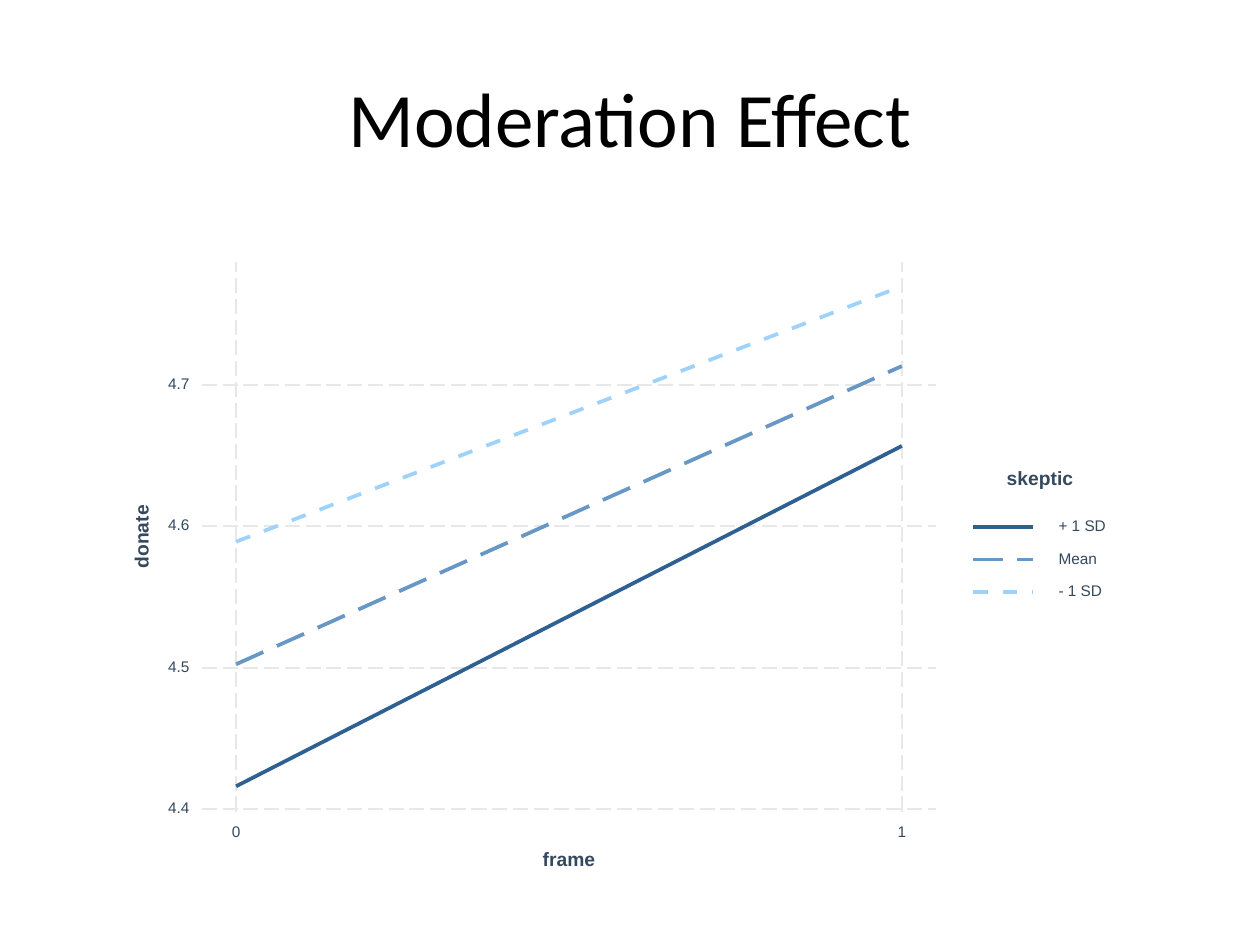
from lxml import etree
from pptx import Presentation
from pptx.dml.color import RGBColor
from pptx.enum.dml import MSO_LINE as Dash
from pptx.enum.shapes import MSO_CONNECTOR as Connector
from pptx.enum.text import MSO_ANCHOR as Anchor, PP_ALIGN as Align
from pptx.oxml.ns import qn
from pptx.util import Cm, Pt

BLACK = RGBColor(0x00, 0x00, 0x00)
SLATE = RGBColor(0x34, 0x49, 0x5E)
GRID_GRAY = RGBColor(0xE8, 0xE8, 0xE8)
DARK_BLUE = RGBColor(0x2F, 0x60, 0x92)
MID_BLUE = RGBColor(0x67, 0x97, 0xC5)
LIGHT_BLUE = RGBColor(0x9E, 0xD2, 0xFA)

# name, depth in cm below the plot top at frame 0 and at frame 1, colour,
# dash and gap in line widths
SERIES = [
    ("+ 1 SD", 10.57, 3.71, DARK_BLUE, None),
    ("Mean", 8.11, 2.1, MID_BLUE, (8, 4)),
    ("- 1 SD", 5.64, 0.49, LIGHT_BLUE, (4, 4)),
]
DONATE_TICKS = ["4.4", "4.5", "4.6", "4.7"]
FRAME_TICKS = ["0", "1"]
LABEL_SIZE, HEADING_SIZE = 8.8, 11
GRID_WIDTH, SERIES_WIDTH = 1.07, 2.13


def add_text(slide, text, center_x, center_y, width, height, size, align=Align.CENTER,
             color=SLATE, font_name="Arial", bold=False, rotation=0):
    """Place a line of text in a box around a centre point, in cm."""
    shape = slide.shapes.add_textbox(
        Cm(center_x - width / 2), Cm(center_y - height / 2), Cm(width), Cm(height))
    shape.rotation = rotation
    frame = shape.text_frame
    frame.text = text
    frame.word_wrap = True
    frame.vertical_anchor = Anchor.MIDDLE
    frame.margin_left = frame.margin_right = frame.margin_top = frame.margin_bottom = 0
    paragraph = frame.paragraphs[0]
    paragraph.alignment = align
    font = paragraph.runs[0].font
    font.name, font.size, font.bold = font_name, Pt(size), bold
    font.color.rgb = color
    return paragraph


def add_label(slide, text, center_x, center_y, width, size=LABEL_SIZE, **style):
    paragraph = add_text(slide, text, center_x, center_y, width, 0.4, size, **style)
    paragraph.line_spacing = Pt(size)


def add_line(slide, start_x, start_y, end_x, end_y, color, width):
    connector = slide.shapes.add_connector(
        Connector.STRAIGHT, Cm(start_x), Cm(start_y), Cm(end_x), Cm(end_y))
    connector.line.color.rgb = color
    connector.line.width = Pt(width)
    etree.SubElement(connector._element.spPr, qn("a:effectLst"))
    return connector


def add_grid_line(slide, *ends):
    add_line(slide, *ends, GRID_GRAY, GRID_WIDTH).line.dash_style = Dash.LONG_DASH


def add_series_line(slide, *ends, color, pattern):
    connector = add_line(slide, *ends, color, SERIES_WIDTH)
    if pattern:
        dash, gap = pattern
        outline = connector._element.spPr.find(qn("a:ln"))
        custom = etree.SubElement(outline, qn("a:custDash"))
        stop = etree.SubElement(custom, qn("a:ds"))
        stop.set("d", str(dash * 100000))
        stop.set("sp", str(gap * 100000))


def add_plot(slide, left, top, width, height):
    tick_x = [left + 0.69, left + width - 0.69]
    for row, label in enumerate(DONATE_TICKS):
        y = top + 11.03 - row * 2.85
        add_grid_line(slide, left, y, left + width, y)
        add_label(slide, label, left - 0.38, y, 0.6, align=Align.LEFT)
    for x, label in zip(tick_x, FRAME_TICKS):
        add_grid_line(slide, x, top + height, x, top)
        add_label(slide, label, x, top + height + 0.43, 0.6)
    for _, start, end, color, pattern in SERIES:
        add_series_line(slide, tick_x[0], top + start, tick_x[1], top + end,
                        color=color, pattern=pattern)
    add_label(slide, "frame", left + width / 2, top + height + 0.99, 2,
              size=HEADING_SIZE, bold=True)
    add_label(slide, "donate", left - 1.19, top + height / 2, 2,
              size=HEADING_SIZE, bold=True, rotation=270)


def add_legend(slide, left, top, width):
    key_left, key_width, text_left, row_height = left + 0.15, 1.22, 1.88, 0.66
    add_label(slide, "skeptic", left + width / 2, top + 0.35, width,
              size=HEADING_SIZE, bold=True)
    for row, (name, _, _, color, pattern) in enumerate(SERIES):
        y = top + 1.29 + row * row_height
        add_series_line(slide, key_left, y, key_left + key_width, y,
                        color=color, pattern=pattern)
        add_label(slide, name, left + (text_left + width) / 2, y,
                  width - text_left, align=Align.LEFT)


def build_slide(presentation):
    slide = presentation.slides.add_slide(presentation.slide_layouts[6])
    add_text(slide, "Moderation Effect", 12.7, 2.35, 22.86, 3.18, 44,
             color=BLACK, font_name="Calibri")
    add_plot(slide, 4.07, 5.28, 14.8, 11.08)
    add_legend(slide, 19.46, 9.33, 3.01)


def main():
    presentation = Presentation()
    presentation.slide_width, presentation.slide_height = Cm(25.4), Cm(19.05)
    build_slide(presentation)
    presentation.save("out.pptx")


if __name__ == "__main__":
    main()
